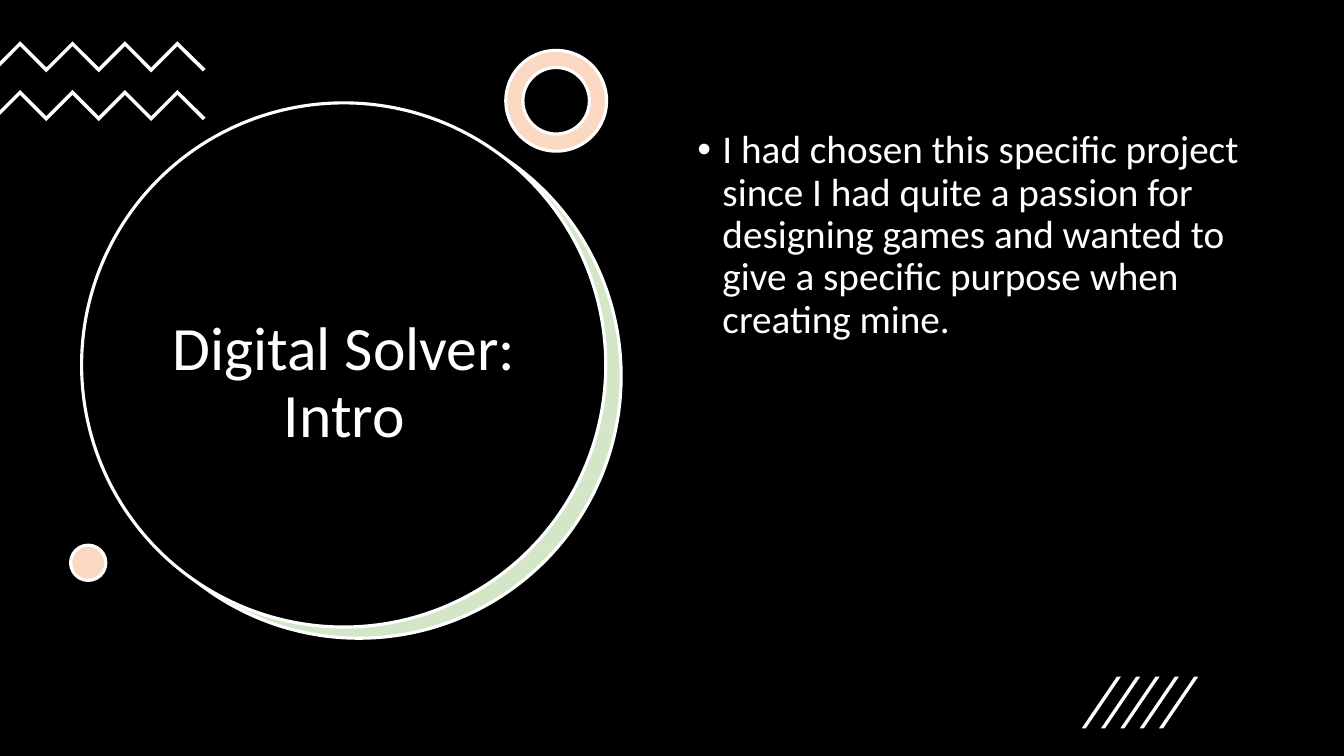
from pptx import Presentation
from pptx.dml.color import RGBColor
from pptx.enum.shapes import MSO_SHAPE
from pptx.enum.text import MSO_ANCHOR, PP_ALIGN
from pptx.oxml.ns import qn
from pptx.util import Pt
from lxml import etree

OVAL, DONUT = MSO_SHAPE.OVAL, MSO_SHAPE.DONUT
TOP, MIDDLE = MSO_ANCHOR.TOP, MSO_ANCHOR.MIDDLE
LEFT, CENTER = PP_ALIGN.LEFT, PP_ALIGN.CENTER
FONT = "Calibri"
BLACK, WHITE, GREEN, PEACH = "000000", "FFFFFF", "D4E6C8", "FAD8C1"


def color(value):
    """Turn a hex string into a colour."""
    return RGBColor.from_string(value)


def add_round(page, kind, left, top, size, fill):
    """Add a round shape with a white outline."""
    shape = page.shapes.add_shape(kind, Pt(left), Pt(top), Pt(size), Pt(size))
    shape.shadow.inherit = False
    shape.fill.solid()
    shape.fill.fore_color.rgb = color(fill)
    shape.line.color.rgb = color(WHITE)
    shape.line.width = Pt(2.25)
    return shape


def add_polygon(page, points):
    """Add a closed white outline without a border."""
    corners = [(Pt(x), Pt(y)) for x, y in points]
    builder = page.shapes.build_freeform(*corners[0], scale=1.0)
    builder.add_line_segments(corners[1:], close=True)
    shape = builder.convert_to_shape()
    shape.shadow.inherit = False
    shape.fill.solid()
    shape.fill.fore_color.rgb = color(WHITE)
    shape.line.fill.background()


def add_bullet(para, indent):
    """Give a paragraph a hanging round bullet."""
    properties = para._p.get_or_add_pPr()
    properties.set("marL", str(Pt(indent)))
    properties.set("indent", str(-Pt(indent)))
    etree.SubElement(properties, qn("a:buFont")).set("typeface", "Arial")
    etree.SubElement(properties, qn("a:buChar")).set("char", "•")


def add_text(page, left, top, width, height, text, size, align, anchor):
    """Add a wrapped white text box and return its paragraph."""
    box = page.shapes.add_textbox(Pt(left), Pt(top), Pt(width), Pt(height))
    frame = box.text_frame
    frame.word_wrap = True
    frame.vertical_anchor = anchor
    para = frame.paragraphs[0]
    para.alignment = align
    para.line_spacing = 0.9
    span = para.add_run()
    span.text = text
    span.font.name = FONT
    span.font.size = Pt(size)
    span.font.color.rgb = color(WHITE)
    return para


def add_title_disc(page, left, top, size):
    """Draw the title disc over its green crescent."""
    add_round(page, OVAL, left + 11, top + 8, size, GREEN)
    add_round(page, OVAL, left, top, size, BLACK)
    add_text(page, left + 28.8, top + 74, 317.5, 253.5,
             "Digital Solver: Intro", 44, CENTER, MIDDLE)


def add_zigzag(page, left, top):
    """Draw a zigzag band that runs in from the slide edge."""
    first, step, thickness = 14.4, 18.72, 3.5
    ridge = [(left + first + step * i, top + step * (i % 2)) for i in range(7)]
    start = (left, top + first)
    upper = [start] + ridge
    lower = [(x, y + thickness) for x, y in reversed(upper)]
    tip = [(left + 146.9, top + 19.8), (left + 144.9, top + 21.6)]
    add_polygon(page, upper + tip + lower)


def add_slashes(page, left, top, height):
    """Draw five evenly spaced slanted bars."""
    gap, slant, thickness = 13.8, 25.2, 2.9
    for i in range(5):
        x = left + gap * i
        add_polygon(page, [(x, top + height), (x + slant, top),
                           (x + slant + thickness, top),
                           (x + thickness, top + height)])


def add_body(page, left, top, width, height):
    """Add the bulleted statement."""
    para = add_text(
        page, left, top, width, height,
        "I had chosen this specific project since I had quite a passion for "
        "designing games and wanted to give a specific purpose when creating "
        "mine.", 28, LEFT, TOP)
    add_bullet(para, 18)


def build_intro(deck):
    """Build the intro slide."""
    page = deck.slides.add_slide(deck.slide_layouts[6])
    page.background.fill.solid()
    page.background.fill.fore_color.rgb = color(BLACK)
    add_title_disc(page, 58.3, 73.5, 374.4)
    for top in (29.5, 64.3):
        add_zigzag(page, 0, top)
    ring = add_round(page, DONUT, 361.3, 36, 72, PEACH)
    ring.adjustments[0] = 0.17
    add_round(page, OVAL, 50.4, 389.4, 25.2, PEACH)
    add_body(page, 491, 89.3, 411, 342.7)
    add_slashes(page, 772.6, 483.3, 37)


def main():
    """Create and save the deck."""
    deck = Presentation()
    deck.slide_width, deck.slide_height = Pt(960), Pt(540)
    build_intro(deck)
    deck.save("out.pptx")


if __name__ == "__main__":
    main()
